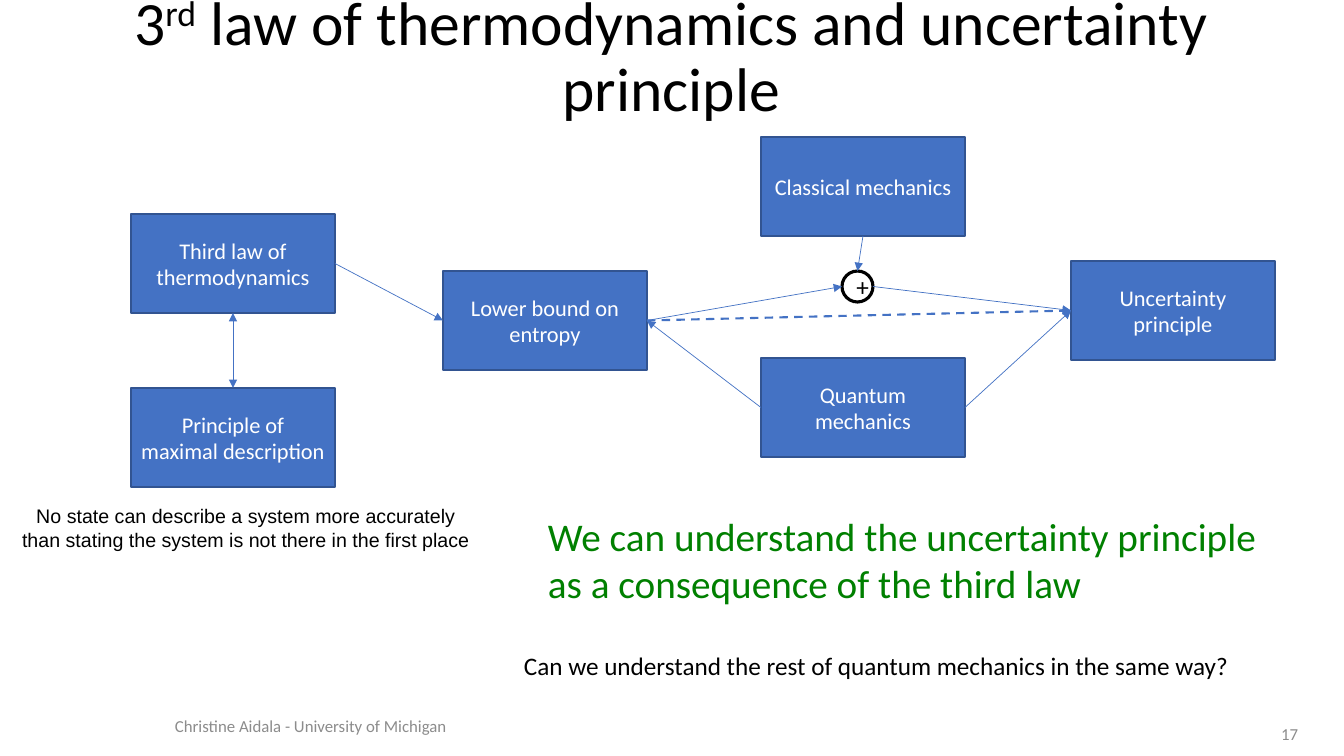
from lxml import etree
from pptx import Presentation
from pptx.dml.color import RGBColor
from pptx.enum.dml import MSO_LINE
from pptx.enum.shapes import MSO_CONNECTOR, MSO_SHAPE
from pptx.enum.text import MSO_ANCHOR, MSO_AUTO_SIZE, PP_ALIGN
from pptx.oxml.ns import qn
from pptx.util import Inches, Pt

PX = Inches(1) / 100.8
TITLE_ONLY = 5
RECTANGLE, ELLIPSE = MSO_SHAPE.RECTANGLE, MSO_SHAPE.OVAL
STRAIGHT = MSO_CONNECTOR.STRAIGHT
LEFT, CENTER, RIGHT = PP_ALIGN.LEFT, PP_ALIGN.CENTER, PP_ALIGN.RIGHT
TOP, MIDDLE = MSO_ANCHOR.TOP, MSO_ANCHOR.MIDDLE
NO_FIT = MSO_AUTO_SIZE.NONE
DASH = MSO_LINE.DASH

BLACK, WHITE, GREY, GREEN = "000000", "FFFFFF", "8C8C8C", "008000"
BLUE, DARK_BLUE = "4472C4", "325491"

BOX_SIZE = (204, 99)
BOXES = {
    "uncertainty": ("Uncertainty principle", 1071, 261),
    "quantum": ("Quantum mechanics", 761, 358),
    "entropy": ("Lower bound on entropy", 443, 271),
    "classical": ("Classical mechanics", 761, 137),
    "third law": ("Third law of thermodynamics", 131, 214),
    "description": ("Principle of maximal description", 131, 388),
}
# Side: connection site on a rectangle, then its place across and down the shape
SIDES = {
    "top": (0, 0.5, 0),
    "left": (1, 0, 0.5),
    "bottom": (2, 0.5, 1),
    "right": (3, 1, 0.5),
}
ARROWS = [
    ("quantum", "right", "uncertainty", "left", {}),
    ("quantum", "left", "entropy", "right", {}),
    ("entropy", "right", "plus", "left", {}),
    ("classical", "bottom", "plus", "top", {}),
    ("plus", "right", "uncertainty", "left", {}),
    ("entropy", "right", "uncertainty", "left", {"width": Pt(1.5), "dash_style": DASH}),
    ("third law", "right", "entropy", "left", {}),
    ("third law", "bottom", "description", "top", {"both_ends": True}),
]


def px(*lengths):
    return [round(length * PX) for length in lengths]


def color(hex_string):
    return RGBColor.from_string(hex_string)


def set_attributes(target, values):
    for name, value in values.items():
        setattr(target, name, value)


def format_text(shape, size, hex_color, align=LEFT, anchor=MIDDLE, font="Calibri", wrap=True):
    frame = shape.text_frame
    set_attributes(frame, {"word_wrap": wrap, "vertical_anchor": anchor, "auto_size": NO_FIT})
    for paragraph in frame.paragraphs:
        paragraph.alignment = align
        for run in paragraph.runs:
            set_attributes(run.font, {"size": Pt(size), "name": font})
            run.font.color.rgb = color(hex_color)


def add_title(slide):
    title = slide.shapes.title
    bounds = zip(("left", "top", "width", "height"), px(11, 9, 1321, 99))
    set_attributes(title, dict(bounds))
    paragraph = title.text_frame.paragraphs[0]
    paragraph.line_spacing = 0.9
    for text in ("3", "rd", " law of thermodynamics and uncertainty principle"):
        paragraph.add_run().text = text
    paragraph.runs[1].font._element.set("baseline", "30000")
    format_text(title, 44, BLACK, CENTER)


def add_text(slide, text, bounds, size, hex_color, **text_format):
    box = slide.shapes.add_textbox(*px(*bounds))
    box.text_frame.text = text
    format_text(box, size, hex_color, **text_format)


def add_node(slide, kind, text, bounds, fill, line, line_width, size, text_color):
    node = slide.shapes.add_shape(kind, *px(*bounds))
    node.shadow.inherit = False
    node.fill.solid()
    node.fill.fore_color.rgb = color(fill)
    node.line.color.rgb = color(line)
    node.line.width = Pt(line_width)
    node.text_frame.text = text
    format_text(node, size, text_color, CENTER)
    return node


def anchor_point(node, side):
    """Return the connection site and the x and y of the middle of a side."""
    site, across, down = SIDES[side]
    if node.auto_shape_type == ELLIPSE:
        site *= 2  # an ellipse also has sites on its diagonals
    return site, round(node.left + across * node.width), round(node.top + down * node.height)


def add_arrow(slide, start, start_side, end, end_side, width=Pt(0.5), dash_style=None, both_ends=False):
    start_site, start_x, start_y = anchor_point(start, start_side)
    end_site, end_x, end_y = anchor_point(end, end_side)
    arrow = slide.shapes.add_connector(STRAIGHT, start_x, start_y, end_x, end_y)
    arrow.begin_connect(start, start_site % 4)
    arrow.end_connect(end, end_site % 4)
    set_attributes(arrow, {"begin_x": start_x, "begin_y": start_y, "end_x": end_x, "end_y": end_y})
    links = arrow._element.nvCxnSpPr.cNvCxnSpPr
    links.stCxn.idx, links.endCxn.idx = start_site, end_site
    arrow.line.color.rgb = color(BLUE)
    set_attributes(arrow.line, {"width": width, "dash_style": dash_style})
    line = arrow.line._get_or_add_ln()
    for tag in ("a:headEnd", "a:tailEnd") if both_ends else ("a:tailEnd",):
        etree.SubElement(line, qn(tag), type="triangle")
    etree.SubElement(arrow._element.spPr, qn("a:effectLst"))


def add_diagram(slide):
    nodes = {
        name: add_node(slide, RECTANGLE, text, (left, top, *BOX_SIZE), BLUE, DARK_BLUE, 1, 16, WHITE)
        for name, (text, left, top) in BOXES.items()
    }
    nodes["plus"] = add_node(slide, ELLIPSE, "+", (842, 271, 31, 31), WHITE, BLACK, 2.25, 18, BLACK)
    for start, start_side, end, end_side, line_format in ARROWS:
        add_arrow(slide, nodes[start], start_side, nodes[end], end_side, **line_format)


def main():
    presentation = Presentation()
    presentation.slide_width, presentation.slide_height = px(1344, 756)
    slide = presentation.slides.add_slide(presentation.slide_layouts[TITLE_ONLY])
    add_title(slide)
    add_text(slide, "Christine Aidala - University of Michigan", (165, 706, 658, 40), 12, GREY)
    add_text(slide, "17", (1247, 721, 61, 25), 12, GREY, align=RIGHT)
    add_diagram(slide)
    add_text(
        slide,
        "No state can describe a system more accurately\v"
        "than stating the system is not there in the first place",
        (11, 499, 470, 57), 14, BLACK, align=CENTER, anchor=TOP, font="Arial", wrap=False,
    )
    add_text(
        slide,
        "We can understand the uncertainty principle as a consequence of the third law",
        (538, 507, 737, 105), 28, GREEN, anchor=TOP,
    )
    add_text(
        slide,
        "Can we understand the rest of quantum mechanics in the same way?",
        (514, 645, 734, 40), 18, BLACK, anchor=TOP, wrap=False,
    )
    presentation.save("out.pptx")


if __name__ == "__main__":
    main()
